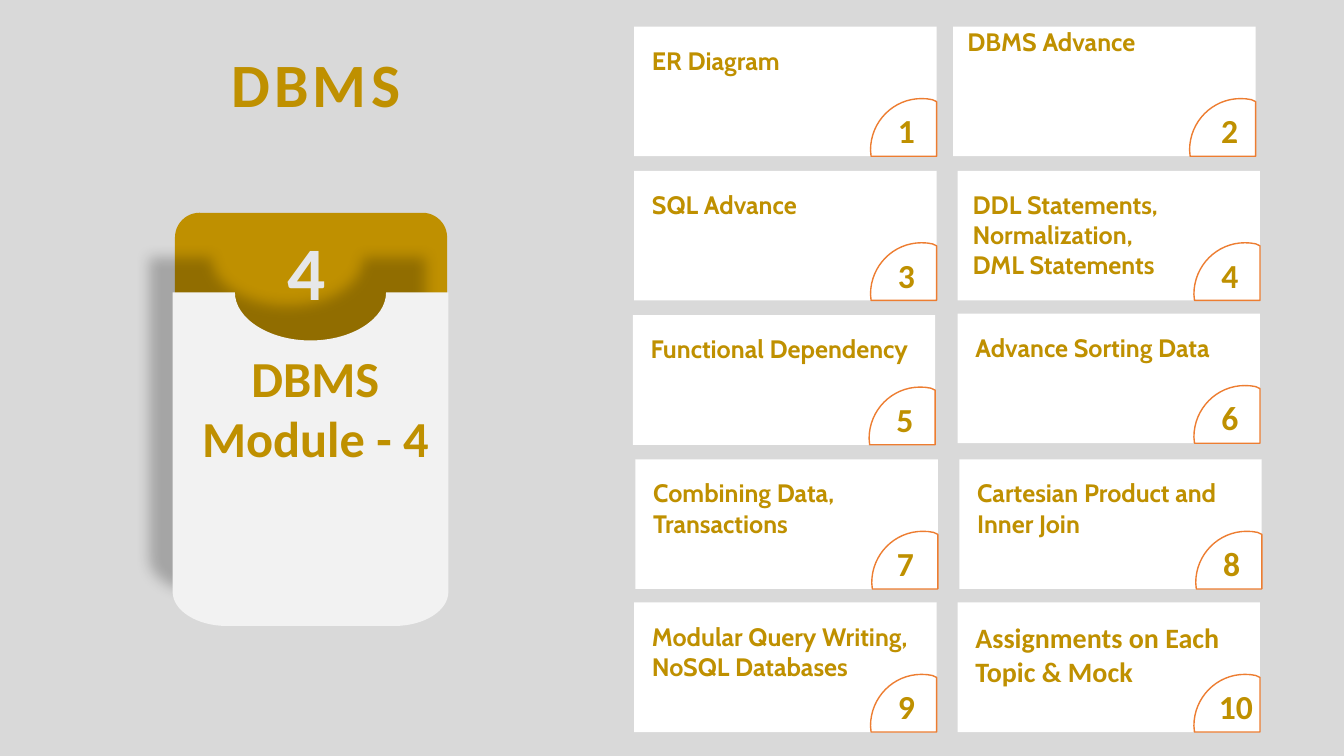
from dataclasses import dataclass

import pptx
import pptx.dml.color
import pptx.enum.shapes
import pptx.enum.text
import pptx.oxml
import pptx.oxml.ns
import pptx.util

Pt = pptx.util.Pt
qn = pptx.oxml.ns.qn
COLORS = {"back": "D9D9D9", "gold": "BF9000", "panel": "F2F2F2",
          "number": "E6E7E9", "white": "FFFFFF", "orange": "ED7D31"}
CARD_W, CARD_H = 216, 92.6
ROW_TOPS = (19, 122, 225.1, 328.1, 430.3)
LEFT_X, RIGHT_X = 453, 684


@dataclass
class TextStyle:
    size: float
    font: str = "Calibri"
    color: str = "gold"
    center: bool = True
    spacing: float = 0


@dataclass
class Card:
    lines: list[str]
    left: float
    text_h: float = 28.8
    text_dx: float = 5.6
    text_dy: float = 9.6
    number_dx: float = 178.6
    number_w: float = 31.7
    dy: float = 0


TOPIC = TextStyle(18, "Cabin", center=False)
CLOSING = TextStyle(20, center=False)
NUMBER = TextStyle(24)

# Cards run left to right, then down
CARDS = [
    Card(["ER Diagram"], LEFT_X),
    Card(["DBMS Advance"], 680.9, text_dx=3, text_dy=-3.5, number_dx=181.6),
    Card(["SQL Advance"], LEFT_X),
    Card(["DDL Statements, Normalization,", "DML Statements"], RIGHT_X, 72.7, 3.6),
    Card(["Functional Dependency"], 452, 51.1),
    Card(["Advance Sorting Data"], RIGHT_X, dy=-1.1),
    Card(["Combining Data, Transactions"], 453.9, 51.1, number_dx=177),
    Card(["Cartesian Product and Inner Join"], 685.3, 51.1),
    Card(["Modular Query Writing, NoSQL Databases"], LEFT_X, 72.7),
    Card(["Assignments on Each Topic & Mock"], RIGHT_X, 55.4, number_w=40.3),
]

# Outlines: two numbers are a line end, six are a Bezier curve
BADGE = [(205.2, 51.4), (207.9, 51.4, 210.5, 51.6, 213, 52.2), (216, 53.6),
         (216, 92.6), (169.2, 92.6), (168.8, 88.2),
         (168.8, 67.9, 185.1, 51.4, 205.2, 51.4)]
PANEL = [(123.3, 208.8), (167.8, 208.8),
         (167.8, 227.5, 192.2, 243.2, 221.8, 243.2),
         (251.8, 243.2, 275.8, 227.5, 275.8, 208.8), (320.3, 208.8),
         (320.3, 422.6), (320.3, 436.2, 303.1, 447.1, 281.6, 447.1),
         (162, 447.1), (140.9, 447.1, 123.3, 436.2, 123.3, 422.6)]


def rgb(name: str) -> pptx.dml.color.RGBColor:
    return pptx.dml.color.RGBColor.from_string(COLORS[name])


def paint(sp, fill: str, line: str | None = None) -> None:
    sp.shadow.inherit = False
    sp.fill.solid()
    sp.fill.fore_color.rgb = rgb(fill)
    if line:
        sp.line.color.rgb = rgb(line)
        sp.line.width = Pt(1)
    else:
        sp.line.fill.background()


def add_outline(shapes, outline: list[tuple], dx: float = 0, dy: float = 0):
    ends = [(Pt(seg[-2] + dx), Pt(seg[-1] + dy)) for seg in outline]
    builder = shapes.build_freeform(*ends[0])
    builder.add_line_segments(ends[1:], close=True)
    sp = builder.convert_to_shape()
    # Turn the six-number segments into curves
    lines = list(sp._element.iter(qn("a:lnTo")))
    for node, seg in zip(lines, outline[1:]):
        if len(seg) == 6:
            points = "".join(
                f'<a:pt x="{Pt(x + dx) - sp.left}" y="{Pt(y + dy) - sp.top}"/>'
                for x, y in zip(seg[::2], seg[1::2]))
            curve = pptx.oxml.parse_xml(
                f'<a:cubicBezTo {pptx.oxml.ns.nsdecls("a")}>{points}'
                '</a:cubicBezTo>')
            node.getparent().replace(node, curve)
    return sp


def add_text(shapes, lines: list[str], left: float, top: float,
             width: float, height: float, style: TextStyle) -> None:
    tf = shapes.add_textbox(Pt(left), Pt(top), Pt(width), Pt(height)).text_frame
    tf.word_wrap = True
    tf.auto_size = pptx.enum.text.MSO_AUTO_SIZE.SHAPE_TO_FIT_TEXT
    align = pptx.enum.text.PP_ALIGN
    for i, line in enumerate(lines):
        p = tf.add_paragraph() if i else tf.paragraphs[0]
        p.alignment = align.CENTER if style.center else align.LEFT
        r = p.add_run()
        r.text = line
        r.font.name = style.font
        r.font.size = Pt(style.size)
        r.font.bold = True
        r.font.color.rgb = rgb(style.color)
        if style.spacing:
            r._r.get_or_add_rPr().set("spc", str(int(style.spacing * 100)))


def add_shadow(sp) -> None:
    effects = sp._element.spPr.find(qn("a:effectLst"))
    effects.append(pptx.oxml.parse_xml(
        f'<a:outerShdw {pptx.oxml.ns.nsdecls("a")} blurRad="{Pt(10)}" '
        f'dist="{Pt(30)}" dir="{236 * 60000}" algn="ctr" rotWithShape="0">'
        '<a:srgbClr val="000000"><a:alpha val="23000"/></a:srgbClr>'
        '</a:outerShdw>'))


def add_card(s, index: int, card: Card) -> None:
    shapes = s.shapes.add_group_shape().shapes
    top = ROW_TOPS[index // 2] + card.dy
    sp = shapes.add_shape(pptx.enum.shapes.MSO_SHAPE.RECTANGLE,
                          Pt(card.left), Pt(top), Pt(CARD_W), Pt(CARD_H))
    paint(sp, "white")
    paint(add_outline(shapes, BADGE, card.left, top), "white", "orange")
    add_text(shapes, [str(index + 1)], card.left + card.number_dx, top + 56.2,
             card.number_w, 36.4, NUMBER)
    add_text(shapes, card.lines, card.left + card.text_dx, top + card.text_dy,
             207.4, card.text_h, CLOSING if index == len(CARDS) - 1 else TOPIC)


def main() -> None:
    prs = pptx.Presentation()
    prs.slide_width, prs.slide_height = Pt(960), Pt(540)
    s = prs.slides.add_slide(prs.slide_layouts[6])
    s.background.fill.solid()
    s.background.fill.fore_color.rgb = rgb("back")

    # Module tag
    tab = s.shapes.add_shape(pptx.enum.shapes.MSO_SHAPE.ROUND_2_SAME_RECTANGLE,
                             Pt(125), Pt(152), Pt(194.4), Pt(146.9))
    tab.adjustments[0] = 0.12
    tab.adjustments[1] = 0
    paint(tab, "gold")
    panel = add_outline(s.shapes, PANEL)
    paint(panel, "panel")
    add_shadow(panel)
    add_text(s.shapes, ["DBMS", "Module - 4"], 113, 244.3, 224.6, 94.3, TextStyle(36))
    add_text(s.shapes, ["4"], 181.8, 157, 74.2, 72.7, TextStyle(54, color="number"))

    # Title
    add_text(s.shapes, ["DBMS"], 37, 29.5, 377.3, 60.5, TextStyle(44, spacing=3))

    # Topic cards
    for index, card in enumerate(CARDS):
        add_card(s, index, card)

    prs.save("out.pptx")


if __name__ == "__main__":
    main()
